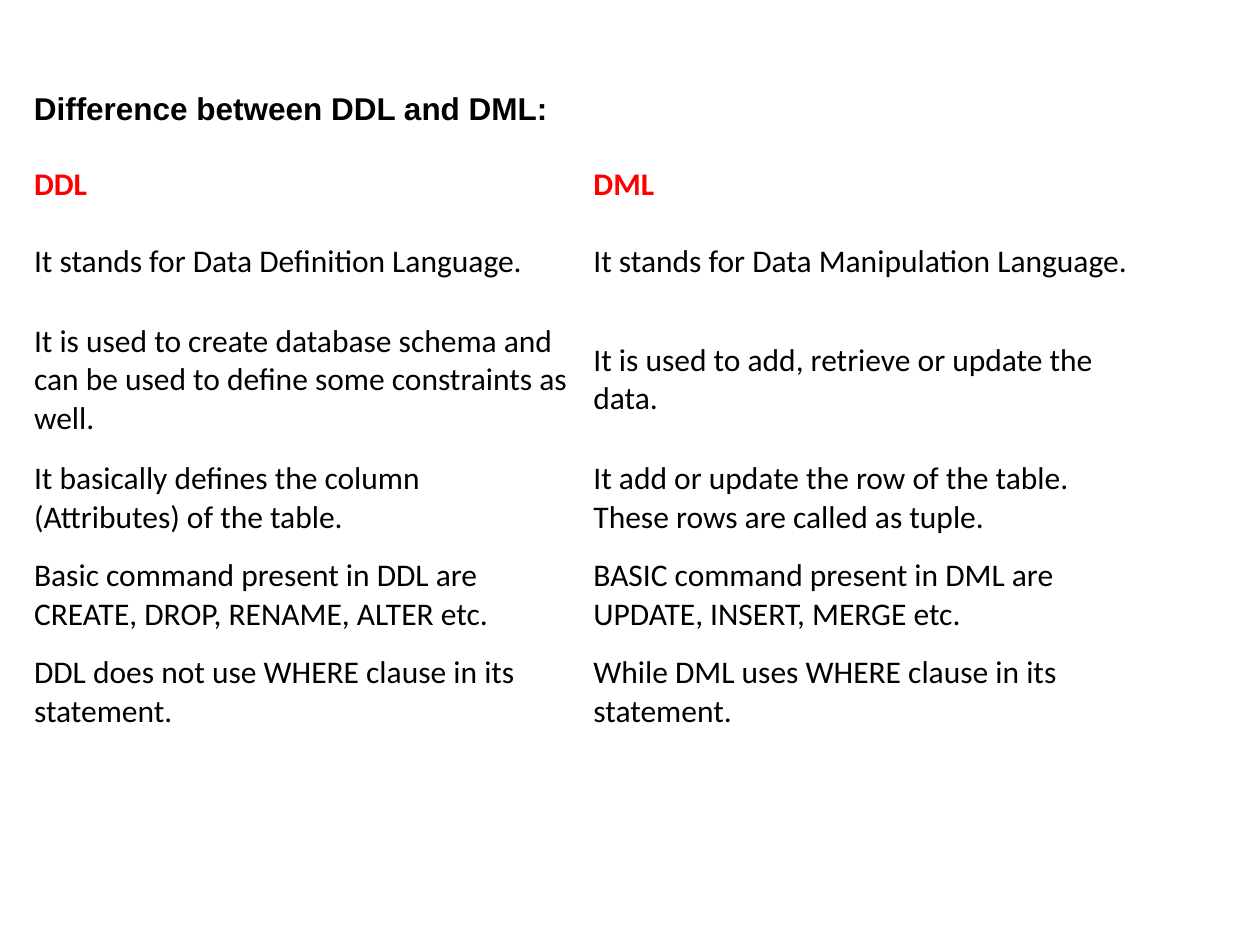
from typing import NamedTuple

from pptx import Presentation
from pptx.dml.color import RGBColor
from pptx.enum.text import MSO_ANCHOR, MSO_AUTO_SIZE
from pptx.slide import Slide
from pptx.text.text import TextFrame
from pptx.util import Inches, Pt

BLACK = RGBColor(0x00, 0x00, 0x00)
RED = RGBColor(0xFF, 0x00, 0x00)

LEFT = 0.17
COLUMN_WIDTH = 4.44


class Comparison(NamedTuple):
    ddl: str
    dml: str
    height: float = 0.77


COMPARISONS = [
    Comparison("DDL", "DML", height=0.44),
    Comparison("It stands for Data Definition Language.",
               "It stands for Data Manipulation Language."),
    Comparison("It is used to create database schema and can be used to define "
               "some constraints as well.",
               "It is used to add, retrieve or update the data.", height=1.11),
    Comparison("It basically defines the column (Attributes) of the table.",
               "It add or update the row of the table. These rows are called as tuple."),
    Comparison("Basic command present in DDL are CREATE, DROP, RENAME, ALTER etc.",
               "BASIC command present in DML are UPDATE, INSERT, MERGE etc."),
    Comparison("DDL does not use WHERE clause in its statement.",
               "While DML uses WHERE clause in its statement."),
]


def write_text(frame: TextFrame, text: str, *, font: str = "Calibri", size: float = 18,
               color: RGBColor = BLACK, bold: bool = False) -> None:
    run = frame.paragraphs[0].add_run()
    run.text = text
    run.font.name = font
    run.font.size = Pt(size)
    run.font.color.rgb = color
    run.font.bold = bold


def add_heading(slide: Slide) -> None:
    heading = slide.shapes.add_textbox(Inches(LEFT), Inches(0.66), Inches(10.78), Inches(0.4))
    frame = heading.text_frame
    frame.word_wrap = True
    frame.auto_size = MSO_AUTO_SIZE.SHAPE_TO_FIT_TEXT
    frame.vertical_anchor = MSO_ANCHOR.MIDDLE
    write_text(frame, "Difference between DDL and DML:", font="Arial", bold=True)


def add_comparison_table(slide: Slide, comparisons: list[Comparison]) -> None:
    total_height = sum(comparison.height for comparison in comparisons)
    table = slide.shapes.add_table(
        len(comparisons), 2, Inches(LEFT), Inches(1.25),
        Inches(2 * COLUMN_WIDTH), Inches(total_height)).table
    table.first_row = False
    table.horz_banding = False
    for column in table.columns:
        column.width = Inches(COLUMN_WIDTH)

    for index, (row, comparison) in enumerate(zip(table.rows, comparisons)):
        row.height = Inches(comparison.height)
        is_header = index == 0
        for cell, statement in zip(row.cells, (comparison.ddl, comparison.dml)):
            cell.fill.background()
            cell.vertical_anchor = MSO_ANCHOR.MIDDLE
            write_text(cell.text_frame, statement,
                       color=RED if is_header else BLACK, bold=is_header)


def main() -> None:
    presentation = Presentation()
    presentation.slide_width = Inches(10)
    presentation.slide_height = Inches(7.5)
    slide = presentation.slides.add_slide(presentation.slide_layouts[6])
    add_comparison_table(slide, COMPARISONS)
    add_heading(slide)
    presentation.save("out.pptx")


if __name__ == "__main__":
    main()
